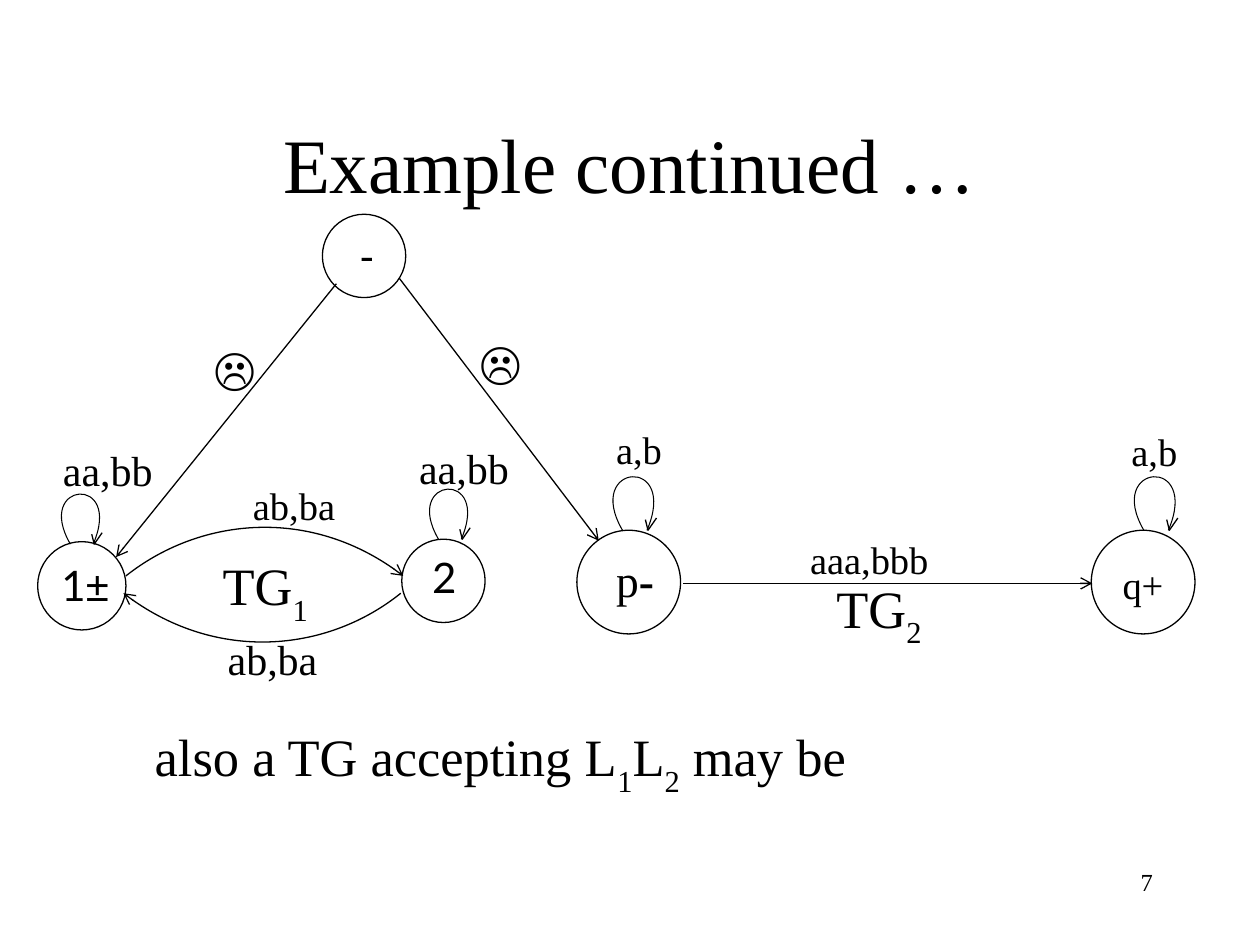
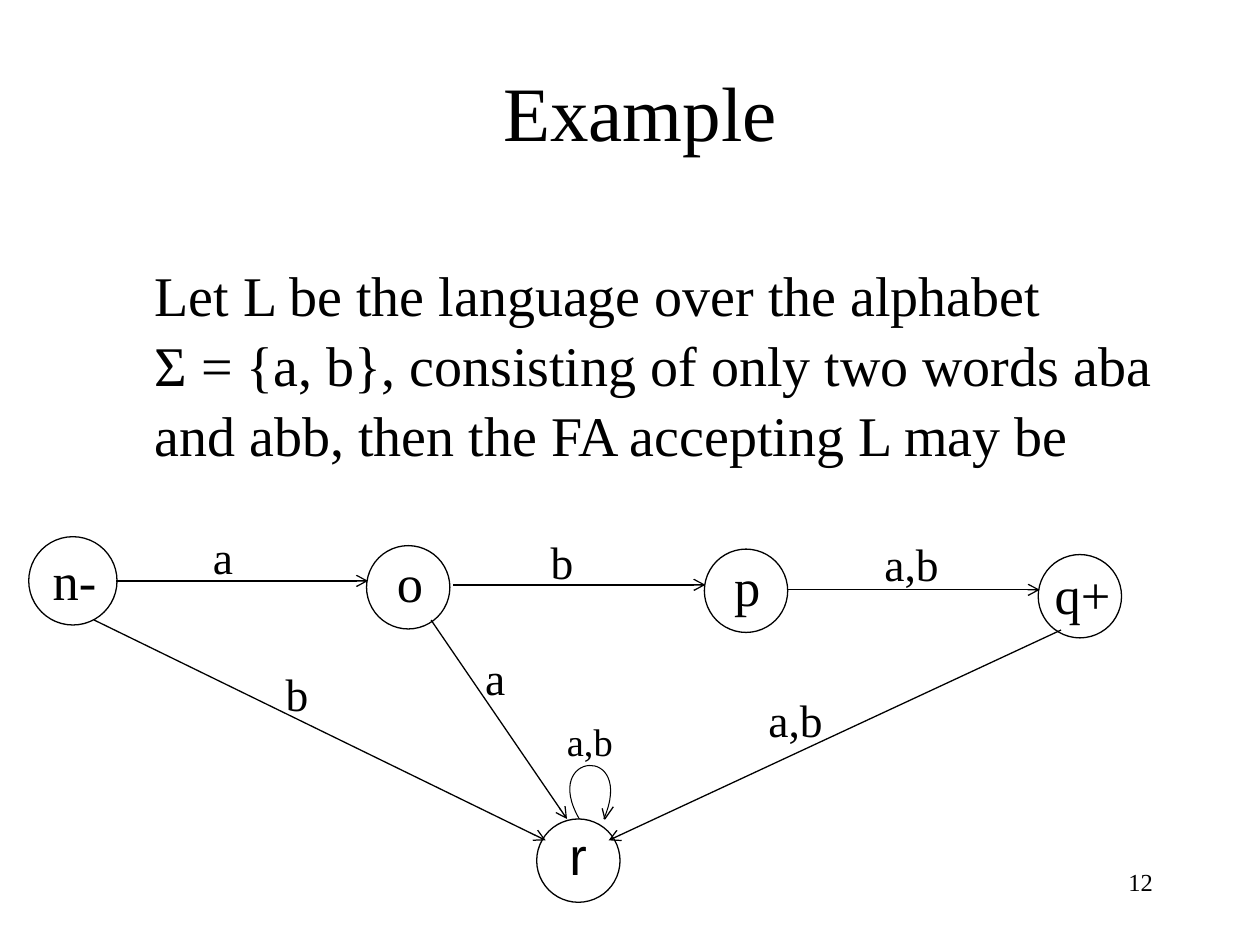
from collections import namedtuple

from lxml.etree import SubElement
from pptx import Presentation
from pptx.dml.color import RGBColor
from pptx.enum.shapes import MSO_CONNECTOR as Connector, MSO_SHAPE as Shape
from pptx.enum.text import MSO_ANCHOR as Anchor, PP_ALIGN as Align
from pptx.oxml.ns import qn
from pptx.util import Cm, Pt

BLACK = RGBColor(0x00, 0x00, 0x00)
WHITE = RGBColor(0xFF, 0xFF, 0xFF)
SERIF, SANS, STATE_FONT, SYMBOL = "Times New Roman", "Arial", "Lato", "Cambria"
SUBSCRIPT = "-30000"

# Sizes of the label boxes, in centimetres
SMALL, NARROW, MEDIUM = (1.96, 0.99), (2.49, 1.7), (2.77, 1.32)
WIDE, LARGE, GRAPH = (2.97, 1.37), (2.97, 1.52), (3.38, 1.75)
STATE = 1.68
START_STATE = 1.78
BIG_STATE = 2.09
BIG_LOOP = 1.07

# Self-loop and its arrowhead, relative to the foot of the loop
LOOP_CURVE = [(0, 0), (-0.74, -1.27), (1.07, -1.42), (0.46, 0)]
LOOP_HEAD = [(0.64, -0.23), (0.48, 0), (0.43, -0.2)]

Span = namedtuple("Span", "text font bold baseline", defaults=(SERIF, None, None))


def sub(text):
    return Span(text, baseline=SUBSCRIPT)


class GraphDeck:
    """Holds the deck, its style and the page being drawn."""

    def __init__(self):
        self.deck = Presentation()
        self.deck.slide_width, self.deck.slide_height = Cm(25.4), Cm(19.05)
        self.page = None

    def new_page(self, title, title_left, title_top, number):
        self.page = self.deck.slides.add_slide(self.deck.slide_layouts[6])
        self.text(title, title_left, title_top, (21.59, 3.18), 44,
                  align=Align.CENTER, anchor=Anchor.MIDDLE)
        self.text(number, 18.21, 17.35, (5.28, 1.27), 14, align=Align.RIGHT)

    def text(self, content, left, top, size, points, font=SERIF,
             align=Align.LEFT, anchor=Anchor.TOP):
        box = self.page.shapes.add_textbox(Cm(left), Cm(top), *map(Cm, size))
        frame = box.text_frame
        frame.word_wrap = True
        frame.vertical_anchor = anchor
        para = frame.paragraphs[0]
        para.alignment = align
        para.font.size = Pt(points)
        para.font.color.rgb = BLACK
        if isinstance(content, str):
            para.text = content
            para.font.name = font
            return box
        for span in content:
            run = para.add_run()
            run.text = span.text
            run.font.name = span.font
            run.font.bold = span.bold
            if span.baseline:
                run.font._element.set("baseline", span.baseline)
        return box

    def body(self, content, top, height, points, anchor=Anchor.TOP):
        box = self.text(content, 1.9, top, (21.59, height), points, anchor=anchor)
        box.text_frame.margin_left = Cm(1.22)
        return box

    def state(self, left, top, size=STATE):
        circle = self.page.shapes.add_shape(
            Shape.OVAL, Cm(left), Cm(top), Cm(size), Cm(size))
        circle.shadow.inherit = False
        circle.fill.solid()
        circle.fill.fore_color.rgb = WHITE
        self.outline(circle)

    def outline(self, shape, width=0.75, arrow=False):
        shape.line.color.rgb = BLACK
        shape.line.width = Pt(width)
        if arrow:
            SubElement(shape.line._get_or_add_ln(), qn("a:tailEnd"), type="arrow")

    def arrow(self, x1, y1, x2, y2):
        line = self.page.shapes.add_connector(
            Connector.STRAIGHT, Cm(x1), Cm(y1), Cm(x2), Cm(y2))
        self.outline(line, arrow=True)
        SubElement(line._element.spPr, qn("a:effectLst"))

    def stroke(self, points, width=0.75, arrow=False):
        start, *rest = [(Cm(x), Cm(y)) for x, y in points]
        builder = self.page.shapes.build_freeform(*start)
        builder.add_line_segments(rest, close=False)
        shape = builder.convert_to_shape()
        shape.shadow.inherit = False
        shape.fill.background()
        self.outline(shape, width, arrow)
        return shape

    def curve(self, points, width=0.75, arrow=False):
        """Turn a stroke through four points into one cubic curve."""
        shape = self.stroke(points, width, arrow)
        outline_path = next(shape._element.iter(qn("a:path")))
        bezier = SubElement(outline_path, qn("a:cubicBezTo"))
        for segment in outline_path.findall(qn("a:lnTo")):
            bezier.append(segment[0])
            outline_path.remove(segment)

    def loop(self, x, y, scale=1):
        def place(points):
            return [(x + dx * scale, y + dy * scale) for dx, dy in points]
        self.curve(place(LOOP_CURVE), width=0.6)
        self.stroke(place(LOOP_HEAD))


def draw_union_graph(graph):
    graph.new_page("Example continued …", 1.9, 1.7, "7")
    body = graph.body([Span("also a TG accepting L"), sub("1"), Span("L"), sub("2"),
                       Span(" may be")], 5.51, 11.43, 30, Anchor.BOTTOM)
    body.text_frame.margin_bottom = Cm(0.85)

    # States
    graph.state(6.5, 4.32)
    graph.state(0.76, 10.92, START_STATE)
    graph.state(8.1, 10.87)
    for left in (11.63, 22):
        graph.state(left, 10.69, BIG_STATE)

    # Transitions
    graph.arrow(6.78, 5.72, 2.34, 11.23)
    graph.arrow(8.05, 5.61, 12.07, 10.9)
    graph.arrow(13.77, 11.76, 22.02, 11.76)
    graph.curve([(8.08, 11.96), (6.65, 13.11), (4.34, 13.39), (2.49, 11.96)], arrow=True)
    graph.curve([(2.54, 11.61), (3.99, 10.46), (6.3, 10.19), (8.13, 11.61)], arrow=True)
    graph.loop(1.42, 10.97)
    graph.loop(8.84, 10.87)
    for foot in (12.55, 23.06):
        graph.loop(foot, 10.69, BIG_LOOP)

    # State names
    graph.text("-", 6.99, 4.52, SMALL, 24, STATE_FONT)
    graph.text([Span("1", STATE_FONT), Span("±", SANS)], 0.99, 11.15, SMALL, 24)
    graph.text("2", 8.46, 11, SMALL, 24, STATE_FONT)
    graph.text([Span("p"), Span("-", bold=True)], 12.17, 11, NARROW, 26)
    graph.text("q+", 22.38, 11.18, NARROW, 22)

    # Transition labels
    for left, top in ((4.06, 6.73), (9.42, 6.6)):
        graph.text("☹", left, top, WIDE, 26, SYMBOL)
    for label, left, top in (("aa,bb", 1.02, 8.84), ("aa,bb", 8.2, 8.79),
                             ("ab,ba", 4.34, 12.65)):
        graph.text(label, left, top, MEDIUM, 24)
    graph.text("ab,ba", 4.85, 9.6, (2.57, 1.24), 22)
    graph.text("a,b", 12.17, 8.46, NARROW, 22)
    graph.text("a,b", 22.56, 8.51, NARROW, 22)
    graph.text("aaa,bbb", 16.08, 10.69, (3.61, 1.7), 22)

    # Graph names
    for index, left, top in (("1", 4.24, 11.02), ("2", 16.61, 11.48)):
        graph.text([Span("TG"), sub(index)], left, top, GRAPH, 30)


def draw_two_word_automaton(graph):
    graph.new_page("Example", 2.11, 0.64, "12")
    body = graph.body("Let L be the language over the alphabet\v"
                      "Σ = {a, b}, consisting of only two words aba "
                      "and abb, then the FA accepting L may be", 5.08, 11.86, 32)
    body.text_frame.paragraphs[0].line_spacing = 1.04

    # States
    graph.state(0.58, 10.82, START_STATE)
    for left, top in ((7.39, 11), (14.2, 11.07), (20.93, 11.18), (10.82, 16.51)):
        graph.state(left, top)

    # Transitions
    for x1, x2, y in ((2.34, 7.42, 11.71), (9.14, 14.22, 11.79), (15.88, 20.96, 11.89)):
        graph.arrow(x1, y, x2, y)
    graph.arrow(1.9, 12.5, 11, 16.94)
    graph.arrow(8.69, 12.5, 11.43, 16.51)
    graph.arrow(21.39, 12.7, 12.27, 16.94)
    graph.loop(11.68, 16.51, BIG_LOOP)

    # State names
    for name, left, top in (("n-", 0.81, 10.92), ("o", 7.75, 10.97),
                            ("p", 14.55, 11.05), ("q+", 21.01, 11.2)):
        graph.text(name, left, top, LARGE, 30)
    graph.text("r", 11.23, 16.46, LARGE, 30, SANS)

    # Transition labels
    for label, left, top in (("a", 4.04, 10.54), ("b", 10.85, 10.64),
                             ("a,b", 17.58, 10.69), ("b", 5.51, 13.31),
                             ("a", 9.53, 12.98), ("a,b", 15.24, 13.82)):
        graph.text(label, left, top, WIDE, 26)
    graph.text("a,b", 11.18, 14.35, NARROW, 22)


def main():
    graph = GraphDeck()
    draw_union_graph(graph)
    draw_two_word_automaton(graph)
    graph.deck.save("out.pptx")


if __name__ == "__main__":
    main()
